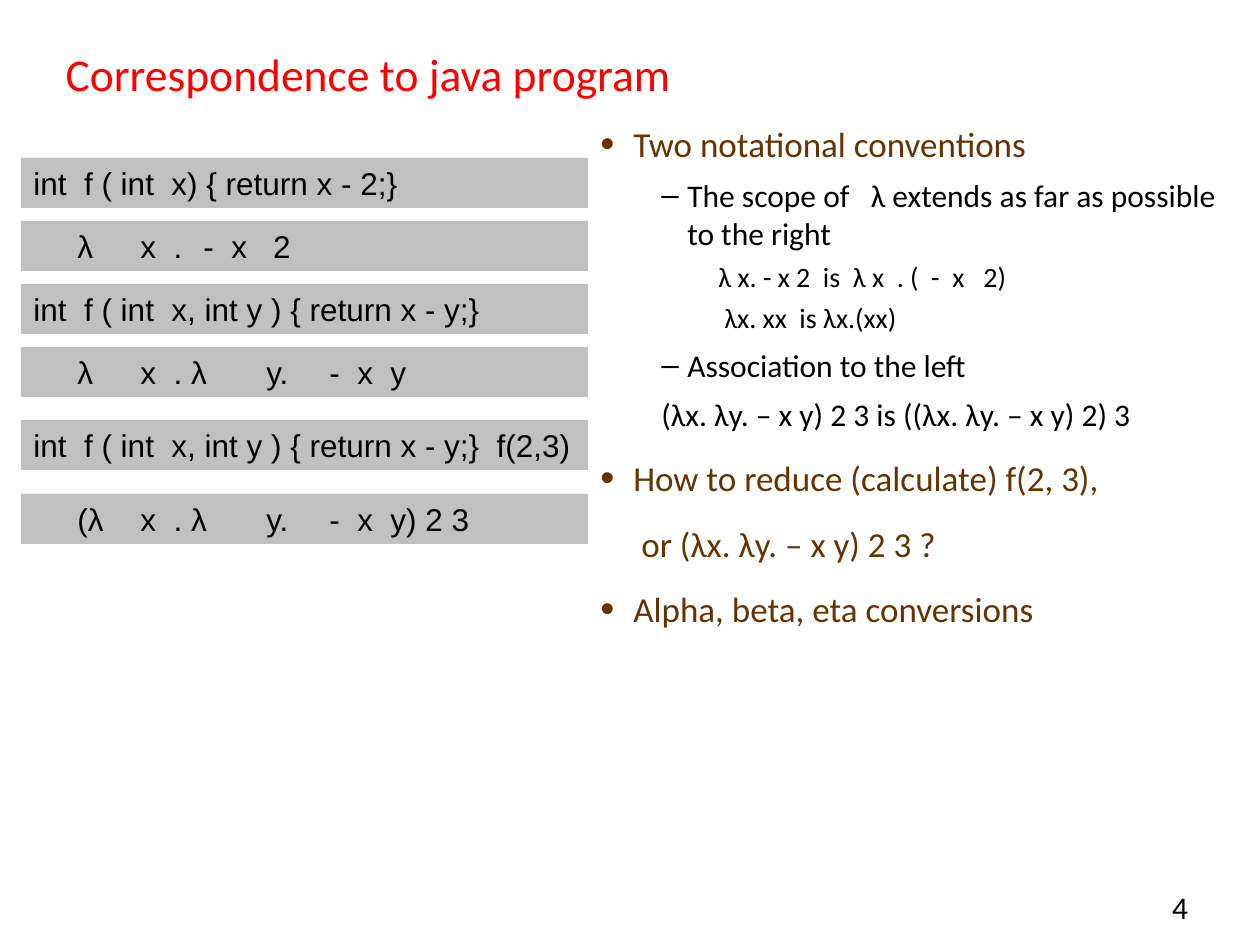
"""Builds the slide on how lambda terms correspond to java programs."""
import pptx
import pptx.dml.color
import pptx.enum.shapes
import pptx.enum.text
import pptx.oxml
import pptx.oxml.ns
import pptx.util

PX = 914400 // 126
COLORS = {"title": "FF0000", "topic": "663300", "text": "000000", "code": "C0C0C0"}
ALIGN = pptx.enum.text.PP_ALIGN
ANCHOR = pptx.enum.text.MSO_ANCHOR

TITLE = "Correspondence to java program"
PAGE = "4"
CODE_LEFT, CODE_WIDTH, CODE_HEIGHT, TERM_INDENT = 21, 567, 50, 44
CODE_ROWS = [
    (158, "int  f ( int  x) { return x - 2;}", None),
    (221, "λ\tx  .\t-  x   2", (147, 294)),
    (284, "int  f ( int  x, int y ) { return x - y;}", None),
    (347, "λ\tx  . λ\ty.\t-  x  y", (104, 214, 262)),
    (420, "int  f ( int  x, int y ) { return x - y;}  f(2,3)", None),
    (494, "(λ\tx  . λ\ty.\t-  x  y) 2 3", (114, 224, 273)),
]
STYLES = {
    "topic": {"size": 20, "before": 13.5, "left": 33, "hang": 33, "bullet": "•", "scale": 115},
    "topic_more": {"size": 20, "before": 13.5, "left": 41},
    "point": {"size": 18, "before": 6.6, "left": 87, "hang": 26, "bullet": "–", "scale": 100},
    "point_more": {"size": 18, "before": 6.6, "left": 61},
    "example": {"size": 16, "before": 4.5, "left": 118},
    "example_more": {"size": 16, "before": 4.5, "left": 124},
}
NOTES = [
    ("topic", "Two notational conventions"),
    ("point", "The scope of   λ extends as far as possible to the right"),
    ("example", "λ x. - x 2  is  λ x  . (  -  x   2)"),
    ("example_more", "λx. xx  is λx.(xx)"),
    ("point", "Association to the left"),
    ("point_more", "(λx. λy. – x y) 2 3 is ((λx. λy. – x y) 2) 3"),
    ("topic", "How to reduce (calculate) f(2, 3),"),
    ("topic_more", "or (λx. λy. – x y) 2 3 ?"),
    ("topic", "Alpha, beta, eta conversions"),
]


def box(*lengths):
    return [length * PX for length in lengths]


def color(name):
    return pptx.dml.color.RGBColor.from_string(COLORS[name])


def write(paragraph, text, size, color_name, font="Calibri"):
    run = paragraph.add_run()
    run.text = text
    run.font.size = pptx.util.Pt(size)
    run.font.name = font
    run.font.color.rgb = color(color_name)


def add_property(parent, tag, **attributes):
    child = pptx.oxml.parse_xml(f"<a:{tag} {pptx.oxml.ns.nsdecls('a')}/>")
    for name, value in attributes.items():
        child.set(name, str(value))
    parent.append(child)
    return child


def indent(paragraph, left, hang=0):
    properties = paragraph._p.get_or_add_pPr()
    properties.set("marL", str(left * PX))
    properties.set("indent", str(-hang * PX))
    return properties


def add_title(slide):
    title = slide.shapes.title
    title.left, title.top, title.width, title.height = box(53, 42, 1144, 63)
    title.text_frame.vertical_anchor = ANCHOR.MIDDLE
    heading = title.text_frame.paragraphs[0]
    heading.alignment = ALIGN.LEFT
    write(heading, TITLE, 26, "title")


def add_notes(slide):
    frame = slide.shapes.add_textbox(*box(588, 116, 672, 788)).text_frame
    frame.word_wrap = True
    for number, (style_name, text) in enumerate(NOTES):
        style = STYLES[style_name]
        note = frame.add_paragraph() if number else frame.paragraphs[0]
        note.space_before = pptx.util.Pt(style["before"] if number else 0)
        properties = indent(note, style["left"], style.get("hang", 0))
        if "bullet" in style:
            add_property(properties, "buSzPct", val=style["scale"] * 1000)
            add_property(properties, "buFont", typeface="Arial")
            add_property(properties, "buChar", char=style["bullet"])
        write(note, text, style["size"], "topic" if style_name.startswith("topic") else "text")


def add_code_row(slide, top, text, stops):
    row = slide.shapes.add_shape(
        pptx.enum.shapes.MSO_SHAPE.RECTANGLE, *box(CODE_LEFT, top, CODE_WIDTH, CODE_HEIGHT))
    row.shadow.inherit = False
    row.fill.solid()
    row.fill.fore_color.rgb = color("code")
    row.line.fill.background()
    row.text_frame.word_wrap = True
    row.text_frame.vertical_anchor = ANCHOR.TOP
    code = row.text_frame.paragraphs[0]
    code.alignment = ALIGN.LEFT
    if stops:
        tabs = add_property(indent(code, TERM_INDENT), "tabLst")
        for stop in stops:
            add_property(tabs, "tab", pos=stop * PX, algn="l")
    write(code, text, 18, "text", "Arial")


def add_page_number(slide):
    frame = slide.shapes.add_textbox(*box(1061, 882, 147, 42)).text_frame
    frame.word_wrap = True
    frame.margin_right = 20 * PX
    number = frame.paragraphs[0]
    number.alignment = ALIGN.RIGHT
    write(number, PAGE, 18, "text")


def main():
    deck = pptx.Presentation()
    deck.slide_width, deck.slide_height = box(1260, 945)
    slide = deck.slides.add_slide(deck.slide_layouts.get_by_name("Title Only"))
    add_page_number(slide)
    add_title(slide)
    add_notes(slide)
    for top, text, stops in CODE_ROWS:
        add_code_row(slide, top, text, stops)
    deck.save("out.pptx")


if __name__ == "__main__":
    main()
